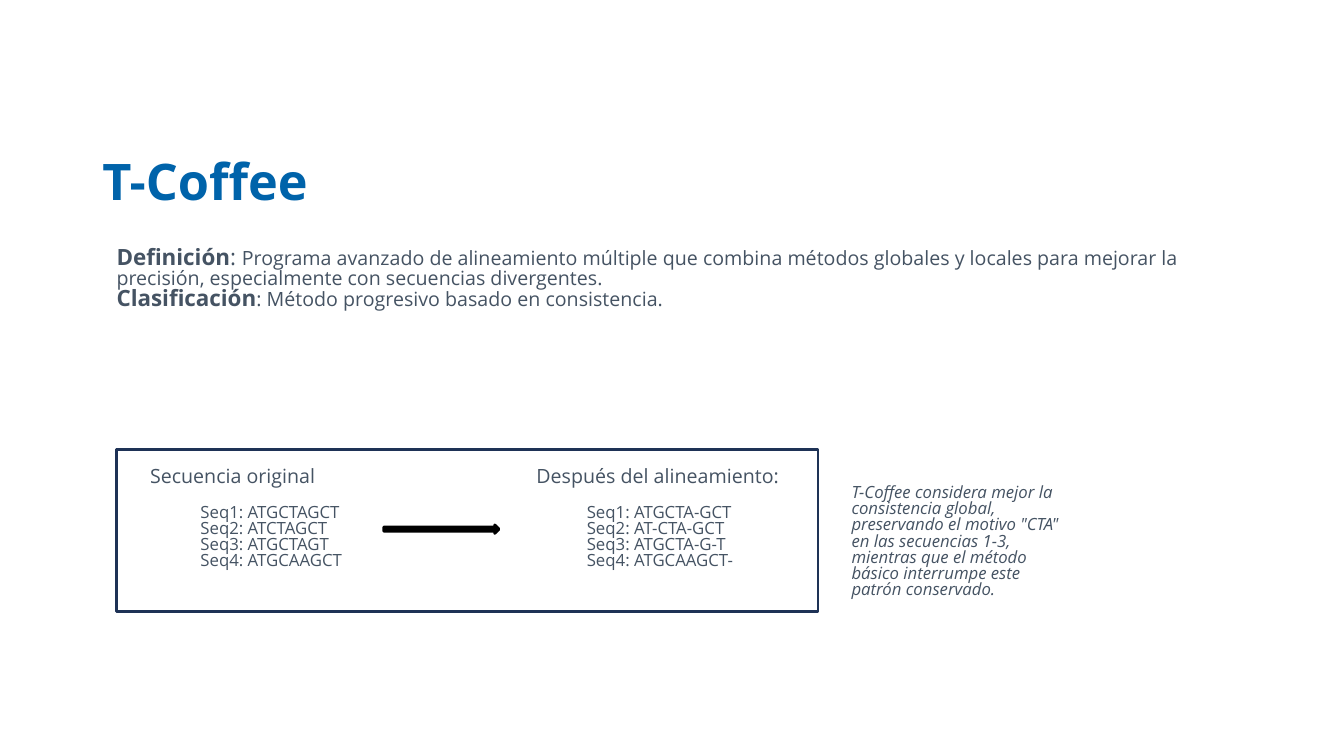
from lxml import etree
from pptx import Presentation
from pptx import util as u
from pptx.dml.color import RGBColor
from pptx.enum import shapes, text
from pptx.oxml.ns import qn

BLUE = RGBColor(0x00, 0x63, 0xAA)
SLATE = RGBColor(0x45, 0x53, 0x63)
NAVY = RGBColor(0x1E, 0x32, 0x56)
BLACK = RGBColor(0, 0, 0)

COLUMNS, ROWS = 160, 90


class Deck:
    """Style and current slide; every box is (column, row, columns, rows)."""

    font = "Open Sans"

    def __init__(self):
        self.prs = Presentation()
        self.prs.slide_width = u.Inches(13.333)
        self.prs.slide_height = u.Inches(7.5)
        self.s = self.prs.slides.add_slide(self.prs.slide_layouts[1])

    def grid(self, box):
        w, h = self.prs.slide_width / COLUMNS, self.prs.slide_height / ROWS
        return [round(n * unit) for n, unit in zip(box, (w, h, w, h))]

    def place(self, sp, box):
        sp.left, sp.top, sp.width, sp.height = self.grid(box)
        sp.text_frame.word_wrap = True
        sp.text_frame.auto_size = text.MSO_AUTO_SIZE.NONE
        return sp.text_frame

    def format_run(self, r, size, color=SLATE, bold=False, italic=False):
        f = r.font
        f.name, f.size, f.bold, f.italic = self.font, u.Pt(size), bold, italic
        f.color.rgb = color

    def format_paragraph(self, p, indent=0, spacing=0.8, before=0):
        """Set a left-aligned paragraph without bullet, indented in inches."""
        p.alignment = text.PP_ALIGN.LEFT
        p.line_spacing = spacing
        p.space_before, p.space_after = u.Pt(before), u.Pt(0)
        pPr = p._p.get_or_add_pPr()
        pPr.set("marL", str(u.Inches(indent)))
        pPr.set("indent", "0")
        etree.SubElement(pPr, qn("a:buNone"))

    def title(self, words, box):
        tf = self.place(self.s.shapes.title, box)
        tf.text = words
        tf.vertical_anchor = text.MSO_ANCHOR.MIDDLE
        p = tf.paragraphs[0]
        self.format_paragraph(p, spacing=0.9)
        self.format_run(p.runs[0], 36, BLUE, bold=True)

    def body(self, paragraphs, box):
        """Fill the body with paragraphs, each a list of (words, size, bold)."""
        tf = self.place(self.s.placeholders[1], box)
        tf.vertical_anchor = text.MSO_ANCHOR.TOP
        for i, parts in enumerate(paragraphs):
            p = tf.add_paragraph() if i else tf.paragraphs[0]
            self.format_paragraph(p, 0.14)
            for words, size, bold in parts:
                r = p.add_run()
                r.text = words
                self.format_run(r, size, bold=bold)

    def sequences(self, heading, seqs, box):
        tf = self.place(self.s.shapes.add_textbox(*self.grid(box)), box)
        lines = [f"Seq{n}: {seq}" for n, seq in enumerate(seqs, 1)]
        tf.text = "\n".join([heading] + lines)
        for i, p in enumerate(tf.paragraphs):
            self.format_paragraph(p, 0.64 if i else 0.14, before=13 if i == 1 else 0)
            self.format_run(p.runs[0], 12 if i else 14)

    def note(self, words, box):
        tf = self.place(self.s.shapes.add_textbox(*self.grid(box)), box)
        tf.text = words
        self.format_paragraph(tf.paragraphs[0])
        self.format_run(tf.paragraphs[0].runs[0], 12, italic=True)

    def shape(self, kind, box, line, fill=None):
        sp = self.s.shapes.add_shape(kind, *self.grid(box))
        sp.shadow.inherit = False
        sp.line.color.rgb, sp.line.width = line, u.Pt(2)
        if fill is None:
            sp.fill.background()
        else:
            sp.fill.solid()
            sp.fill.fore_color.rgb = fill


def main():
    d = Deck()
    d.title("T-Coffee", (11, 14.9, 138, 14))
    d.body([
        [("Definición", 16, True), (": ", 16, False),
         ("Programa avanzado de alineamiento múltiple que combina métodos globales y "
          "locales para mejorar la precisión, especialmente con secuencias divergentes.",
          14, False)],
        [("Clasificación", 16, True),
         (": Método progresivo basado en consistencia.", 14, False)],
    ], (11, 29, 138, 48.25))
    d.sequences("Secuencia original",
                ["ATGCTAGCT", "ATCTAGCT", "ATGCTAGT", "ATGCAAGCT"],
                (15, 55.2, 30.7, 19.9))
    d.sequences("Después del alineamiento:",
                ["ATGCTA-GCT", "AT-CTA-GCT", "ATGCTA-G-T", "ATGCAAGCT-"],
                (61, 55.2, 34.8, 19.9))
    d.shape(shapes.MSO_SHAPE.RIGHT_ARROW, (45.7, 62.5, 13.7, 1), BLACK, BLACK)
    d.shape(shapes.MSO_SHAPE.RECTANGLE, (13.9, 53.5, 83.5, 19.3), NAVY)
    d.note("T-Coffee considera mejor la consistencia global, preservando el motivo "
           '"CTA" en las secuencias 1-3, mientras que el método básico interrumpe '
           "este patrón conservado.", (100.2, 57.25, 27.8, 19.9))
    d.prs.save("out.pptx")


if __name__ == "__main__":
    main()
